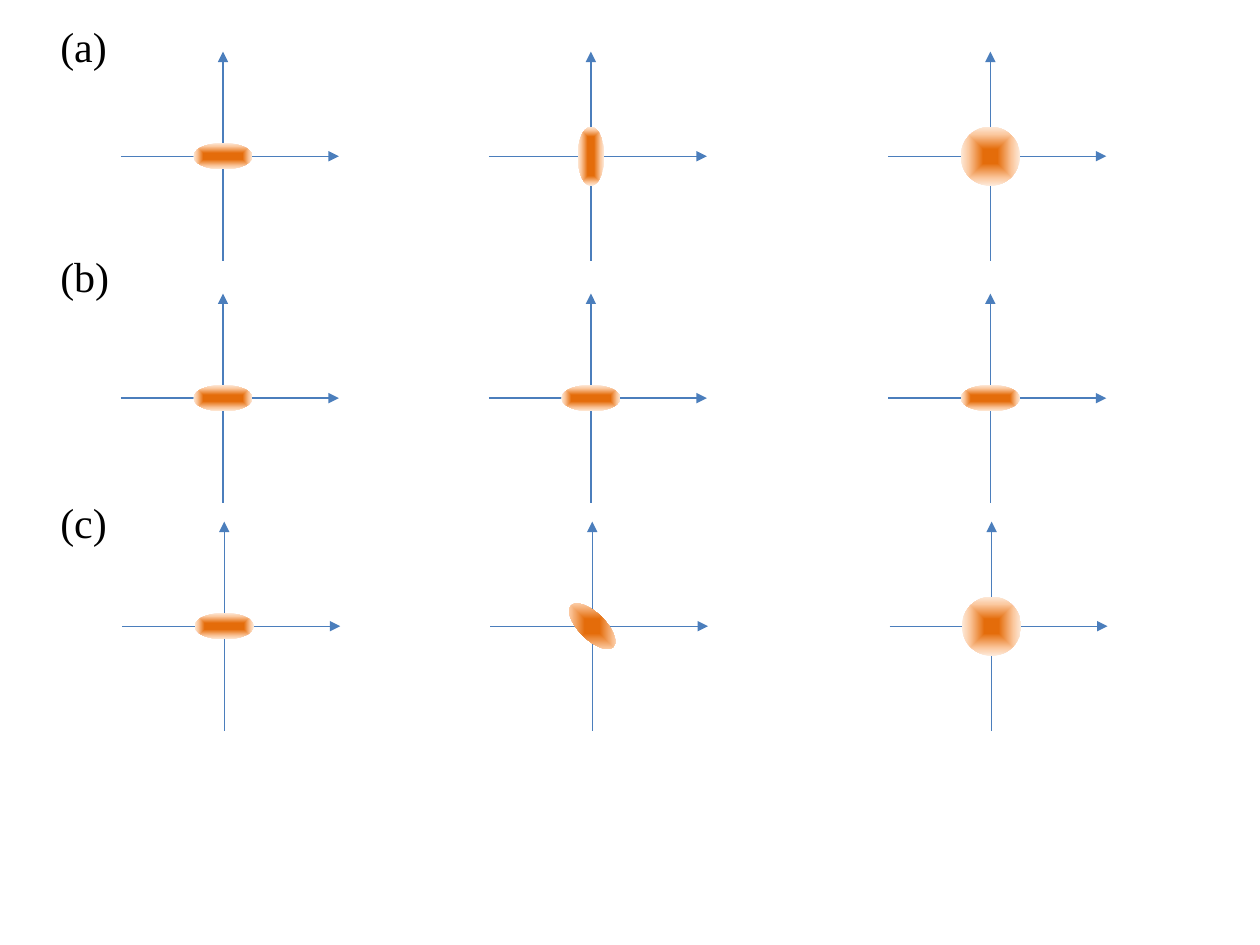
from pptx import Presentation
from pptx.dml.color import RGBColor
from pptx.enum.shapes import MSO_CONNECTOR, MSO_SHAPE
from pptx.enum.text import MSO_AUTO_SIZE
from pptx.oxml import parse_xml
from pptx.oxml.ns import nsdecls
from pptx.util import Inches, Pt

STRAIGHT = MSO_CONNECTOR.STRAIGHT
OVAL = MSO_SHAPE.OVAL
FIT_SHAPE = MSO_AUTO_SIZE.SHAPE_TO_FIT_TEXT

COLORS = {"axis": "4B7EBC", "text": "000000", "core": "E46C0A", "middle": "FBC89F", "edge": "FDEADA"}
GRADIENT = [(24, "core"), (74, "middle"), (100, "edge")]
FONT = "Times New Roman"

LONG, SHORT = 0.47, 0.21
FLAT = (LONG, SHORT, 0)
UPRIGHT = (LONG, SHORT, 270)
TILTED = (LONG, SHORT, 224.5)
ROUND = (LONG, LONG, 0)

COLUMNS = [1.77, 4.69, 7.86]
ROWS = [
    {"label": "(a)", "label_top": 0.11, "center": 1.24, "shift": 0, "states": [FLAT, UPRIGHT, ROUND]},
    {"label": "(b)", "label_top": 1.94, "center": 3.16, "shift": 0, "states": [FLAT, FLAT, FLAT]},
    {"label": "(c)", "label_top": 3.89, "center": 4.97, "shift": 0.01, "states": [FLAT, TILTED, ROUND]},
]
LABEL_LEFT, LABEL_WIDTH, LABEL_HEIGHT = 0.38, 0.61, 0.5
AXIS_LEFT, AXIS_RIGHT, AXIS_HALF = 0.81, 0.92, 0.83


def add_axis(group, start, end):
    axis = group.shapes.add_connector(STRAIGHT, *(Inches(value) for value in start + end))
    axis.line.color.rgb = RGBColor.from_string(COLORS["axis"])
    axis.line.width = Pt(0.75)
    axis.line._get_or_add_ln().append(parse_xml(f'<a:tailEnd {nsdecls("a")} type="triangle"/>'))
    axis._element.spPr.append(parse_xml(f'<a:effectLst {nsdecls("a")}/>'))


def add_ellipse(group, x, y, state):
    width, height, rotation = state
    ellipse = group.shapes.add_shape(
        OVAL, Inches(x - width / 2), Inches(y - height / 2), Inches(width), Inches(height))
    ellipse.rotation = rotation
    ellipse.shadow.inherit = False
    ellipse.line.fill.background()
    stops = "".join(
        f'<a:gs pos="{share * 1000}"><a:srgbClr val="{COLORS[name]}"/></a:gs>' for share, name in GRADIENT)
    ellipse._element.spPr.prstGeom.addnext(parse_xml(
        f'<a:gradFill {nsdecls("a")} rotWithShape="1"><a:gsLst>{stops}</a:gsLst>'
        '<a:path path="shape"><a:fillToRect l="50000" t="50000" r="50000" b="50000"/></a:path>'
        '</a:gradFill>'))


def add_diagram(page, x, y, state):
    group = page.shapes.add_group_shape()
    add_axis(group, (x - AXIS_LEFT, y), (x + AXIS_RIGHT, y))
    add_axis(group, (x, y + AXIS_HALF), (x, y - AXIS_HALF))
    add_ellipse(group, x, y, state)


def add_label(page, text, top):
    box = page.shapes.add_textbox(
        Inches(LABEL_LEFT), Inches(top), Inches(LABEL_WIDTH), Inches(LABEL_HEIGHT))
    box.text_frame.word_wrap = False
    box.text_frame.auto_size = FIT_SHAPE
    span = box.text_frame.paragraphs[0].add_run()
    span.text = text
    span.font.name = FONT
    span.font.size = Pt(24)
    span.font.color.rgb = RGBColor.from_string(COLORS["text"])


def main():
    deck = Presentation()
    deck.slide_width, deck.slide_height = Inches(10), Inches(7.5)
    page = deck.slides.add_slide(deck.slide_layouts[6])
    for row in ROWS:
        for x, state in zip(COLUMNS, row["states"]):
            add_diagram(page, x + row["shift"], row["center"], state)
        add_label(page, row["label"], row["label_top"])
    deck.save("out.pptx")


if __name__ == "__main__":
    main()
